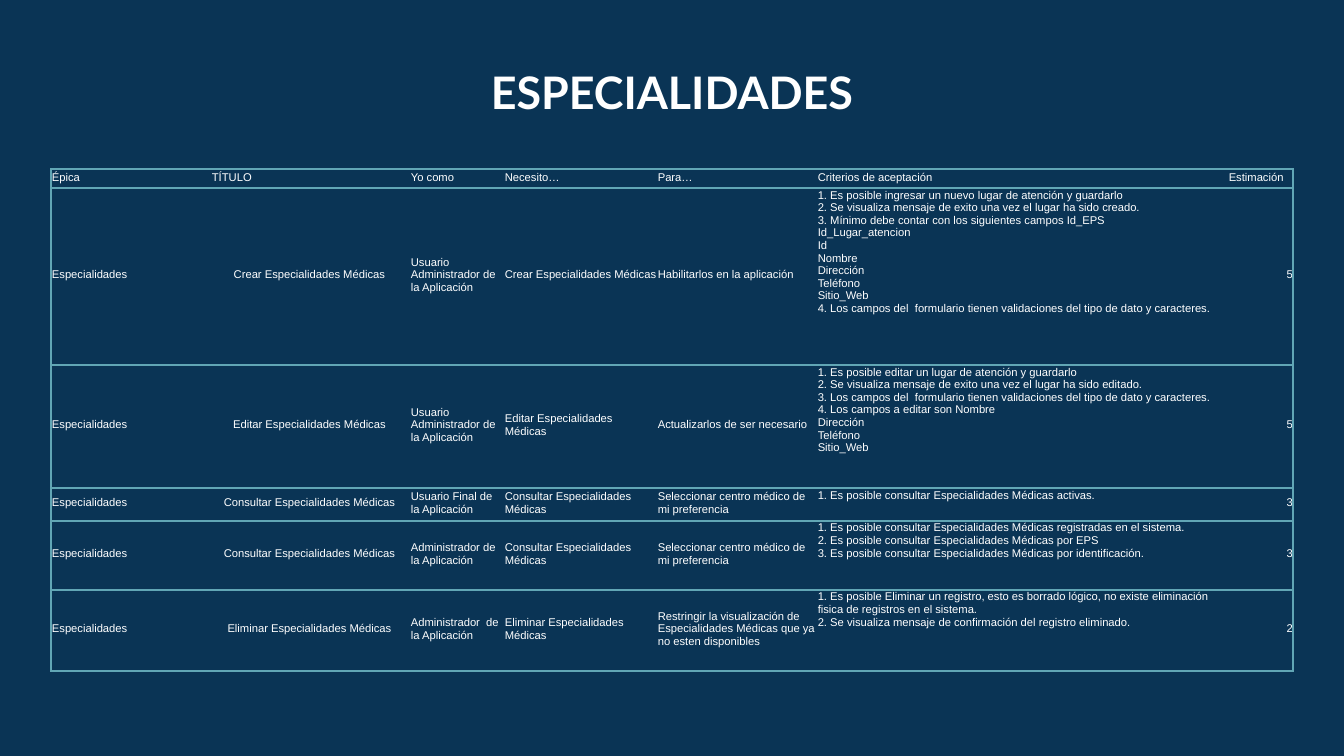
from copy import deepcopy
from dataclasses import dataclass

from lxml import etree
from pptx import Presentation
from pptx.dml.color import RGBColor
from pptx.enum import text as t
from pptx.oxml import ns
from pptx.util import Emu, Pt

WIDE, HIGH = 1344, 756
SCALE = 9144000 / WIDE


@dataclass(frozen=True)
class Theme:
    back: str = "0A3455"
    ink: str = "FFFFFF"
    rule: str = "61A6B5"
    line: int = 1
    head: str = "Lato"
    body: str = "Arial"
    big: int = 24
    small: int = 6


THEME = Theme()
LEFT, MID, RIGHT = t.PP_ALIGN.LEFT, t.PP_ALIGN.CENTER, t.PP_ALIGN.RIGHT
TOP, CENTRE, LOW = t.MSO_ANCHOR.TOP, t.MSO_ANCHOR.MIDDLE, t.MSO_ANCHOR.BOTTOM

COLS = [160, 199, 94, 153, 160, 411, 65]
ROWS = [19, 177, 123, 33, 69, 81]
ALIGNS = [LEFT, MID, LEFT, LEFT, LEFT, LEFT, RIGHT]
ANCHORS = [CENTRE] * 5 + [TOP, CENTRE]

HEADS = ["Épica", "TÍTULO", "Yo como", "Necesito…", "Para…",
         "Criterios de aceptación", "Estimación"]
# Verb, role, purpose, criteria, estimate
STORIES = [
    ("Crear", "Usuario Administrador de la Aplicación",
     "Habilitarlos en la aplicación",
     """1. Es posible ingresar un nuevo lugar de atención y guardarlo
2. Se visualiza mensaje de exito una vez el lugar ha sido creado.
3. Mínimo debe contar con los siguientes campos Id_EPS
Id_Lugar_atencion
Id
Nombre
Dirección
Teléfono
Sitio_Web
4. Los campos del  formulario tienen validaciones del tipo de dato y caracteres.""", 5),
    ("Editar", "Usuario Administrador de la Aplicación",
     "Actualizarlos de ser necesario",
     """1. Es posible editar un lugar de atención y guardarlo
2. Se visualiza mensaje de exito una vez el lugar ha sido editado.
3. Los campos del  formulario tienen validaciones del tipo de dato y caracteres.
4. Los campos a editar son Nombre
Dirección
Teléfono
Sitio_Web""", 5),
    ("Consultar", "Usuario Final de la Aplicación",
     "Seleccionar centro médico de mi preferencia",
     "1. Es posible consultar Especialidades Médicas activas.", 3),
    ("Consultar", "Administrador de la Aplicación",
     "Seleccionar centro médico de mi preferencia",
     """1. Es posible consultar Especialidades Médicas registradas en el sistema.
2. Es posible consultar Especialidades Médicas por EPS
3. Es posible consultar Especialidades Médicas por identificación.""", 3),
    ("Eliminar", "Administrador  de la Aplicación",
     "Restringir la visualización de Especialidades Médicas que ya no esten disponibles",
     """1. Es posible Eliminar un registro, esto es borrado lógico, no existe eliminación fisica de registros en el sistema.
2. Se visualiza mensaje de confirmación del registro eliminado.""", 2),
]


def px(n):
    return Emu(round(n * SCALE))


def write(frame, words, font=THEME.body, size=THEME.small, bold=False, align=LEFT):
    """Fill a frame with one paragraph, its line breaks sized like its runs."""
    para = frame.paragraphs[0]
    para.text = words
    para.alignment = align
    for run in para.runs:
        run.font.name, run.font.size, run.font.bold = font, Pt(size), bold
        run.font.color.rgb = RGBColor.from_string(THEME.ink)
    for gap in para._p.findall(ns.qn("a:br")):
        gap.append(deepcopy(para.runs[0]._r.rPr))


def edge(cell, sides):
    """Rule the given sides of a cell and clear the others."""
    props = cell._tc.get_or_add_tcPr()
    for side in "LRTB":
        line = etree.SubElement(props, ns.qn(f"a:ln{side}"), w=str(Pt(THEME.line)))
        if side in sides:
            fill = etree.SubElement(line, ns.qn("a:solidFill"))
            etree.SubElement(fill, ns.qn("a:srgbClr"), val=THEME.rule)
        else:
            etree.SubElement(line, ns.qn("a:noFill"))


def title(slide, words, x, y, w, h):
    frame = slide.shapes.add_textbox(px(x), px(y), px(w), px(h)).text_frame
    frame.word_wrap = True
    frame.margin_left = frame.margin_right = px(13)
    frame.margin_top = frame.margin_bottom = px(13)
    write(frame, words, font=THEME.head, size=THEME.big, bold=True, align=MID)


def grid(slide, data, x, y):
    table = slide.shapes.add_table(len(ROWS), len(COLS), px(x), px(y),
                                   px(sum(COLS)), px(sum(ROWS))).table
    table.first_row = table.horz_banding = False
    for col, w in zip(table.columns, COLS):
        col.width = px(w)
    for r, (row, h, line) in enumerate(zip(table.rows, ROWS, data)):
        row.height = px(h)
        for c, (cell, words) in enumerate(zip(row.cells, line)):
            cell.margin_left = cell.margin_top = px(1)
            cell.margin_right, cell.margin_bottom = 0, px(4)
            cell.vertical_anchor = ANCHORS[c] if r else LOW
            write(cell.text_frame, words, align=ALIGNS[c] if r else LEFT)
            edge(cell, "TB" + {0: "L", len(COLS) - 1: "R"}.get(c, ""))
            cell.fill.solid()
            cell.fill.fore_color.rgb = RGBColor.from_string(THEME.back)


def main():
    deck = Presentation()
    deck.slide_width, deck.slide_height = px(WIDE), px(HIGH)
    slide = deck.slides.add_slide(deck.slide_layouts[6])
    slide.background.fill.solid()
    slide.background.fill.fore_color.rgb = RGBColor.from_string(THEME.back)

    topic = "Especialidades"
    data = [HEADS] + [
        [topic, f"{verb} {topic} Médicas ", role, f"{verb} {topic} Médicas",
         goal, rules, str(points)]
        for verb, role, goal, rules, points in STORIES]
    title(slide, topic.upper(), 289, 52, 766, 138)
    grid(slide, data, 51, 169)
    deck.save("out.pptx")


if __name__ == "__main__":
    main()
